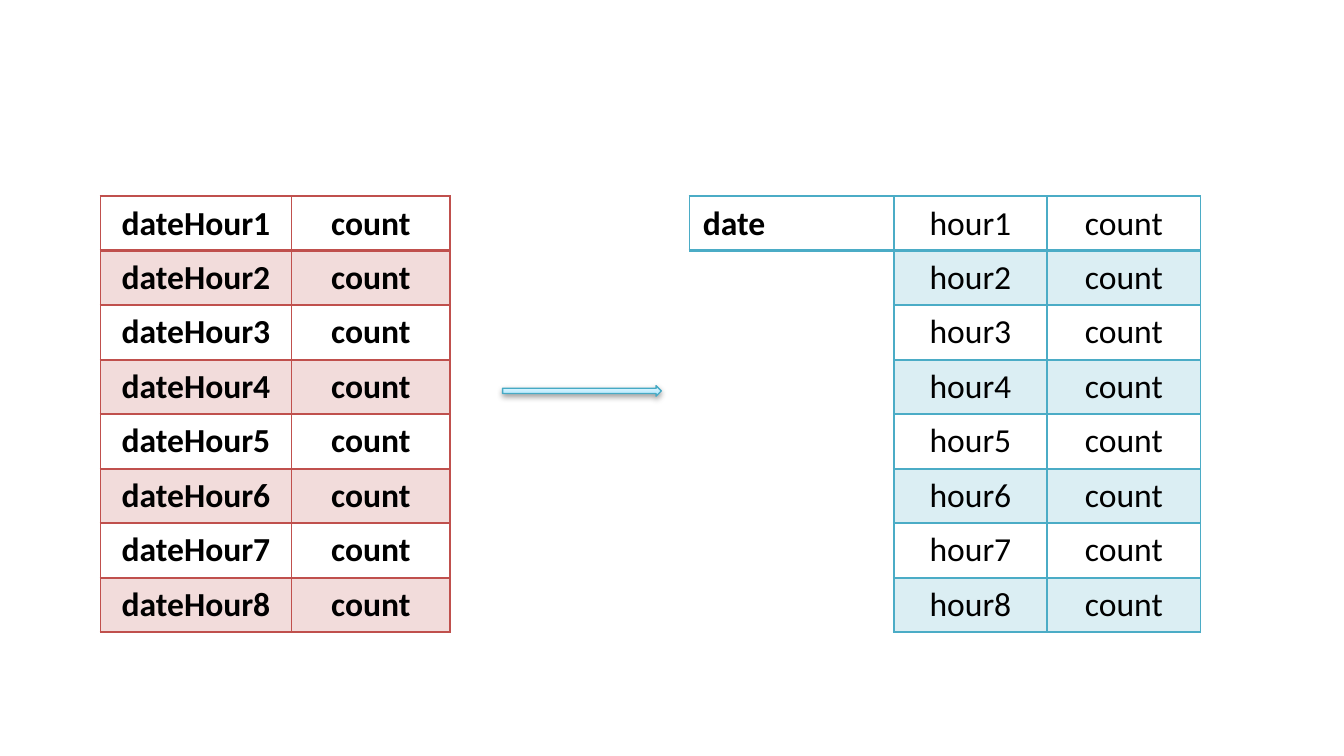
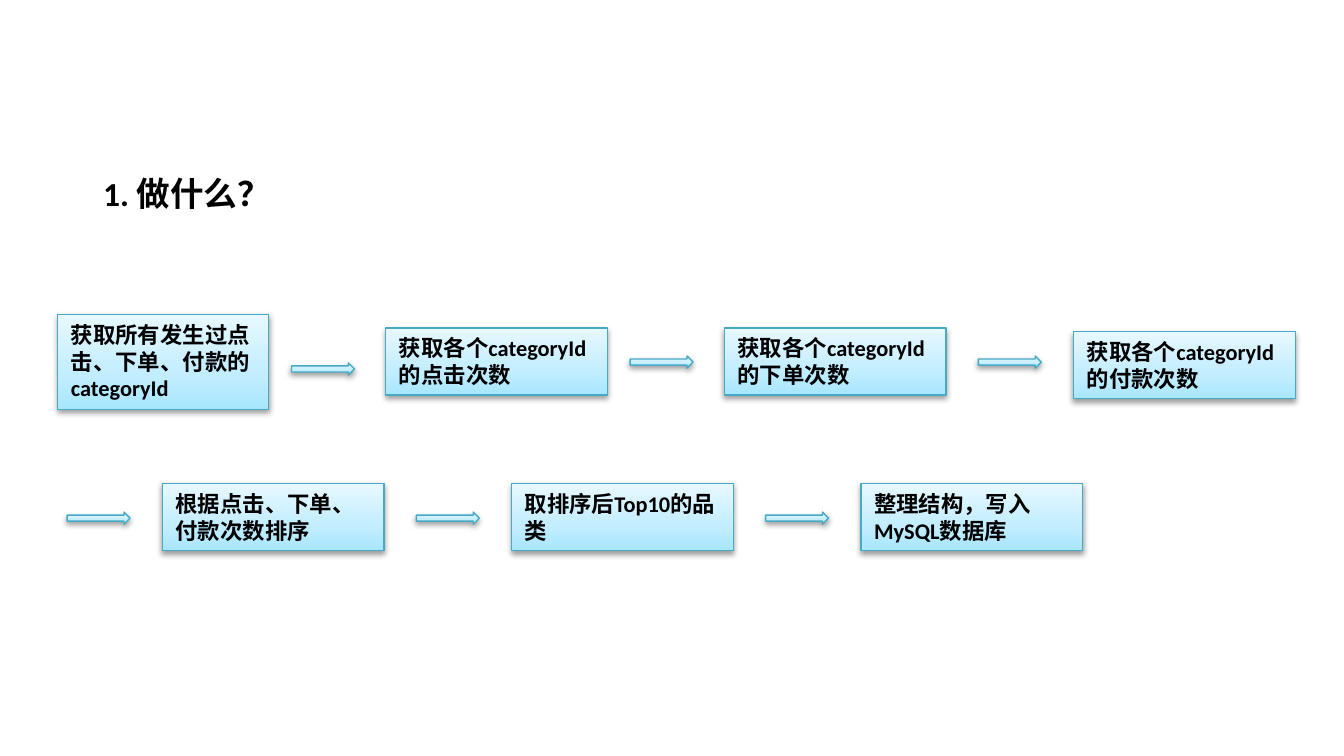
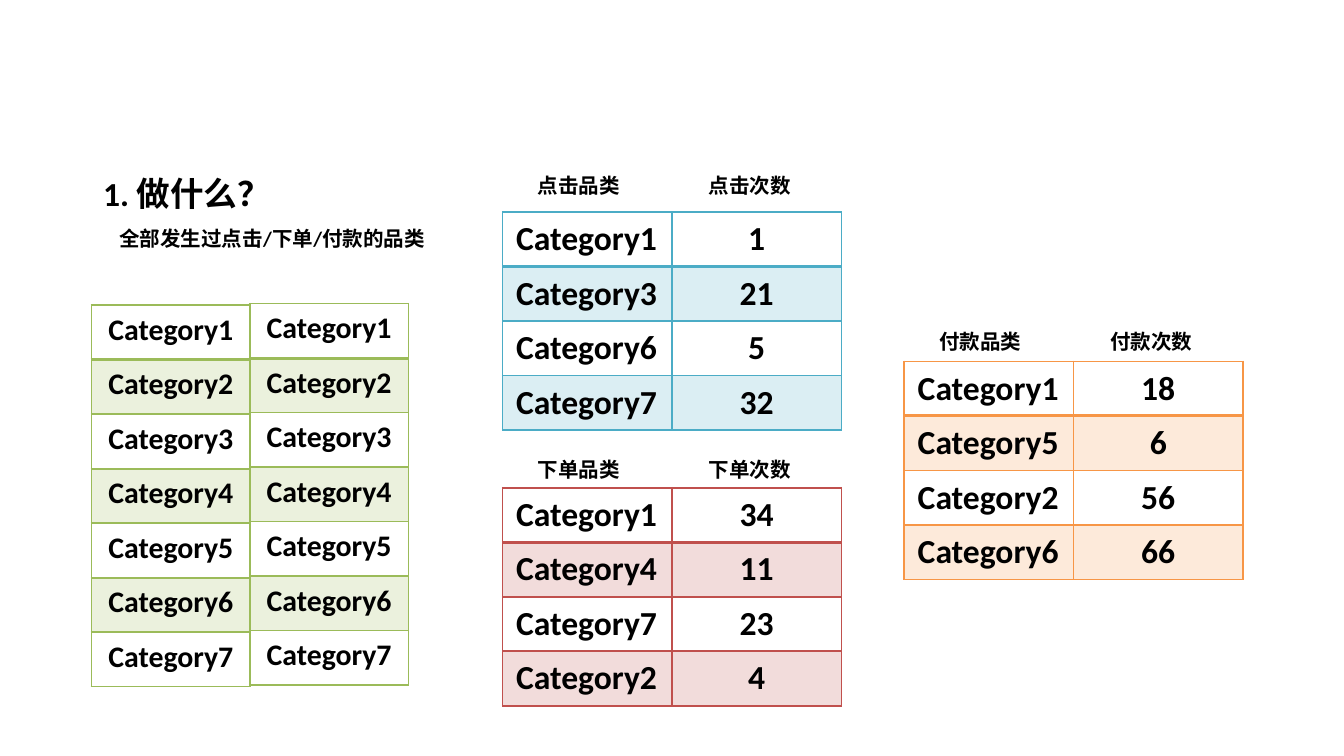
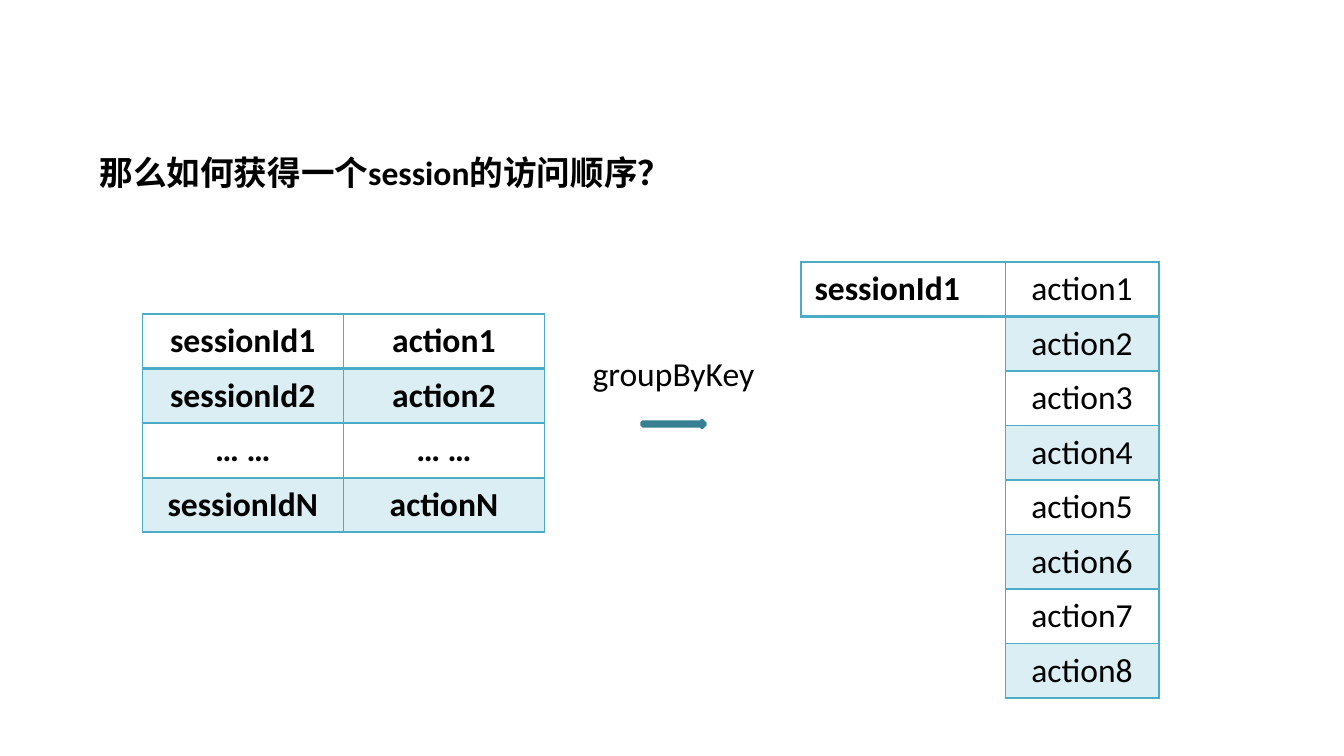
"""Build four slides on hourly counts, category ranking and session ordering."""

from dataclasses import dataclass

from lxml import etree
from pptx import Presentation
from pptx.dml.color import RGBColor
from pptx.enum.shapes import MSO_SHAPE
from pptx.enum.text import MSO_ANCHOR, MSO_AUTO_SIZE, PP_ALIGN
from pptx.oxml.ns import qn
from pptx.util import Cm, Pt

ARROW, STEP = MSO_SHAPE.RIGHT_ARROW, MSO_SHAPE.RECTANGLE
LEFT, CENTER = PP_ALIGN.LEFT, PP_ALIGN.CENTER
TOP, GROW = MSO_ANCHOR.TOP, MSO_AUTO_SIZE.SHAPE_TO_FIT_TEXT


@dataclass(frozen=True)
class Theme:
    """Colours, font and type sizes shared by all slides."""

    font: str = "Calibri"
    ink: str = "000000"
    red: str = "C0504D"
    teal: str = "4BACC6"
    green: str = "9BBB59"
    orange: str = "F79646"
    outline: str = "46AAC5"
    dark_teal: str = "377F92"
    glow: tuple = ((0, "A7E6FF"), (35, "C1EDFF"), (100, "E7F8FF"))
    heading: int = 18
    category: int = 16
    step: int = 12
    label: int = 11
    band_alpha: int = 20
    row_height: float = 1.03
    label_tab: float = 3.23


THEME = Theme()


@dataclass(frozen=True)
class Box:
    """A place on the slide in centimetres."""

    left: float
    top: float
    width: float
    height: float

    def emu(self) -> tuple:
        """Return the place as slide lengths."""
        return Cm(self.left), Cm(self.top), Cm(self.width), Cm(self.height)


@dataclass(frozen=True)
class Grid:
    """A banded table with a heavy rule below its first row."""

    left: float
    top: float
    widths: tuple
    rows: list
    color: str
    size: int = THEME.heading
    bold: bool = True
    first_align: PP_ALIGN = CENTER


def write(frame, text: str, *, size: int = THEME.heading, bold: bool = True,
          align: PP_ALIGN = LEFT, tab: float = 0) -> None:
    """Put one formatted paragraph into a text frame."""
    paragraph = frame.paragraphs[0]
    paragraph.alignment = align
    if tab:
        stops = etree.SubElement(paragraph._p.get_or_add_pPr(), qn("a:tabLst"))
        etree.SubElement(stops, qn("a:tab"), pos=str(Cm(tab)), algn="l")
    run = paragraph.add_run()
    run.text = text
    run.font.name = THEME.font
    run.font.size = Pt(size)
    run.font.bold = bold
    run.font.color.rgb = RGBColor.from_string(THEME.ink)


def add_text(slide, box: Box, text: str, *, wrap: bool = True, **style) -> None:
    """Add a text box that grows with its text."""
    frame = slide.shapes.add_textbox(*box.emu()).text_frame
    frame.word_wrap = wrap
    frame.auto_size = GROW
    write(frame, text, **style)


def add_label(slide, left: float, top: float, text: str) -> None:
    """Add a small table label whose columns are set by a tab stop."""
    add_text(slide, Box(left, top, 6.58, 0.74), text,
             size=THEME.label, tab=THEME.label_tab)


def add_border(cell, side: str, color: str, weight: int) -> None:
    """Draw one side of a table cell."""
    line = etree.SubElement(cell._tc.get_or_add_tcPr(), qn(f"a:ln{side}"),
                            w=str(Pt(weight)))
    fill = etree.SubElement(line, qn("a:solidFill"))
    etree.SubElement(fill, qn("a:srgbClr"), val=color)


def add_grid(slide, grid: Grid) -> None:
    """Draw a grid as a table."""
    box = Box(grid.left, grid.top, sum(grid.widths),
              THEME.row_height * len(grid.rows))
    table = slide.shapes.add_table(len(grid.rows), len(grid.widths),
                                   *box.emu()).table
    table.first_row = table.horz_banding = False
    for column, width in zip(table.columns, grid.widths):
        column.width = Cm(width)
    for r, values in enumerate(grid.rows):
        table.rows[r].height = Cm(THEME.row_height)
        for c, value in enumerate(values):
            cell = table.cell(r, c)
            weights = {"L": 1, "R": 1, "T": 2 if r == 1 else 1,
                       "B": 2 if r == 0 else 1}
            for side, weight in weights.items():
                add_border(cell, side, grid.color, weight)
            if r % 2:
                cell.fill.solid()
                cell.fill.fore_color.rgb = RGBColor.from_string(grid.color)
                tint = cell._tc.tcPr.find(f"{qn('a:solidFill')}/{qn('a:srgbClr')}")
                etree.SubElement(tint, qn("a:alpha"),
                                 val=str(THEME.band_alpha * 1000))
            else:
                cell.fill.background()
            write(cell.text_frame, value, size=grid.size, bold=grid.bold,
                  align=CENTER if c else grid.first_align)


def add_glowing(slide, kind: MSO_SHAPE, box: Box):
    """Add a shape with the pale gradient, thin outline and soft shadow."""
    shape = slide.shapes.add_shape(kind, *box.emu())
    shape.fill.gradient()
    shape.fill.gradient_angle = 90
    properties = shape.element.spPr
    stops = properties.find(f"{qn('a:gradFill')}/{qn('a:gsLst')}")
    stops.clear()
    for position, color in THEME.glow:
        stop = etree.SubElement(stops, qn("a:gs"), pos=str(position * 1000))
        etree.SubElement(stop, qn("a:srgbClr"), val=color)
    shape.line.color.rgb = RGBColor.from_string(THEME.outline)
    shape.line.width = Pt(0.75)
    shape.shadow.inherit = False
    shadow = etree.SubElement(properties.find(qn("a:effectLst")),
                              qn("a:outerShdw"), blurRad="40000", dist="20000",
                              dir="5400000", rotWithShape="0")
    shade = etree.SubElement(shadow, qn("a:srgbClr"), val=THEME.ink)
    etree.SubElement(shade, qn("a:alpha"), val="38000")
    return shape


def add_step(slide, text: str, box: Box) -> None:
    """Add one step of the process."""
    frame = add_glowing(slide, STEP, box).text_frame
    frame.word_wrap = True
    frame.auto_size = GROW
    frame.vertical_anchor = TOP
    write(frame, text, size=THEME.step)


def add_what_heading(slide) -> None:
    """Add the heading shared by the two category slides."""
    add_text(slide, Box(1.7, 3.15, 3.6, 1.02), "1. 做什么？")


def build_hourly_counts(slide) -> None:
    """Show counts by date and hour regrouped under one date."""
    hours = range(1, 9)
    add_grid(slide, Grid(1.9, 3.71, (3.61, 3),
                         [(f"dateHour{n}", "count") for n in hours], THEME.red))
    add_grid(slide, Grid(16.89, 3.71, (2.9, 2.9),
                         [(f"hour{n}", "count") for n in hours],
                         THEME.teal, bold=False))
    add_grid(slide, Grid(13.03, 3.71, (3.86,), [("date",)], THEME.teal,
                         first_align=LEFT))
    add_glowing(slide, ARROW, Box(9.5, 7.29, 3, 0.2))


def build_ranking_steps(slide) -> None:
    """Show the steps from categories to the stored top ten."""
    add_what_heading(slide)
    add_step(slide, "获取所有发生过点击、下单、付款的categoryId",
             Box(1.09, 5.94, 3.99, 1.8))
    for action, left, top in (("点击", 7.29, 6.2), ("下单", 13.69, 6.2),
                              ("付款", 20.29, 6.27)):
        add_step(slide, f"获取各个categoryId的{action}次数",
                 Box(left, top, 4.19, 1.27))
    arrows = [(5.51, 6.86), (11.91, 6.73), (18.49, 6.73)]
    closing = ("根据点击、下单、付款次数排序", "取排序后Top10的品类",
               "整理结构，写入MySQL数据库")
    for n, text in enumerate(closing):
        add_step(slide, text, Box(3.07 + 6.6 * n, 9.14, 4.19, 1.27))
        arrows.append((1.27 + 6.6 * n, 9.68))
    for left, top in arrows:
        add_glowing(slide, ARROW, Box(left, top, 1.19, 0.23))


def build_category_counts(slide) -> None:
    """Show all categories and their click, order and payment counts."""
    add_what_heading(slide)
    categories = [(f"Category{n}",) for n in range(1, 8)]
    for left, top in ((1.73, 5.77), (4.72, 5.74)):
        add_grid(slide, Grid(left, top, (3,), categories, THEME.green,
                             size=THEME.category))
    add_label(slide, 2, 4.14, "全部发生过点击/下单/付款的品类")
    counts = (
        ("点击", 9.5, 4.01, 3.15, THEME.teal, {1: 1, 3: 21, 6: 5, 7: 32}),
        ("下单", 9.5, 9.22, 8.51, THEME.red, {1: 34, 4: 11, 7: 23, 2: 4}),
        ("付款", 17.09, 6.83, 6.1, THEME.orange, {1: 18, 5: 6, 2: 56, 6: 66}),
    )
    for action, left, top, label_top, color, totals in counts:
        rows = [(f"Category{n}", str(total)) for n, total in totals.items()]
        add_grid(slide, Grid(left, top, (3.2, 3.2), rows, color,
                             first_align=LEFT))
        add_label(slide, left + 0.41, label_top, f"{action}品类\t{action}次数")


def build_session_order(slide) -> None:
    """Show actions grouped by session."""
    add_text(slide, Box(1.63, 2.74, 11.43, 1.02),
             "那么如何获得一个session的访问顺序？", wrap=False)
    pairs = [(f"sessionId{n}", f"action{n}") for n in (1, 2, "N")]
    pairs.insert(2, ("… …", "… …"))
    add_grid(slide, Grid(2.69, 5.94, (3.8, 3.8), pairs, THEME.teal))
    arrow = slide.shapes.add_shape(ARROW, *Box(12.14, 7.95, 1.19, 0.13).emu())
    arrow.shadow.inherit = False
    arrow.fill.solid()
    arrow.fill.fore_color.rgb = RGBColor.from_string(THEME.teal)
    arrow.line.color.rgb = RGBColor.from_string(THEME.dark_teal)
    arrow.line.width = Pt(2)
    add_grid(slide, Grid(19, 4.95, (2.9,),
                         [(f"action{n}",) for n in range(1, 9)],
                         THEME.teal, bold=False))
    add_grid(slide, Grid(15.14, 4.95, (3.86,), [("sessionId1",)], THEME.teal,
                         first_align=LEFT))
    add_text(slide, Box(10.95, 6.55, 3.6, 1.02), "groupByKey",
             wrap=False, bold=False)


def main() -> None:
    """Build and save the presentation."""
    deck = Presentation()
    deck.slide_width, deck.slide_height = Cm(25.4), Cm(14.29)
    blank = deck.slide_layouts[6]
    for build in (build_hourly_counts, build_ranking_steps,
                  build_category_counts, build_session_order):
        build(deck.slides.add_slide(blank))
    deck.save("out.pptx")


if __name__ == "__main__":
    main()
